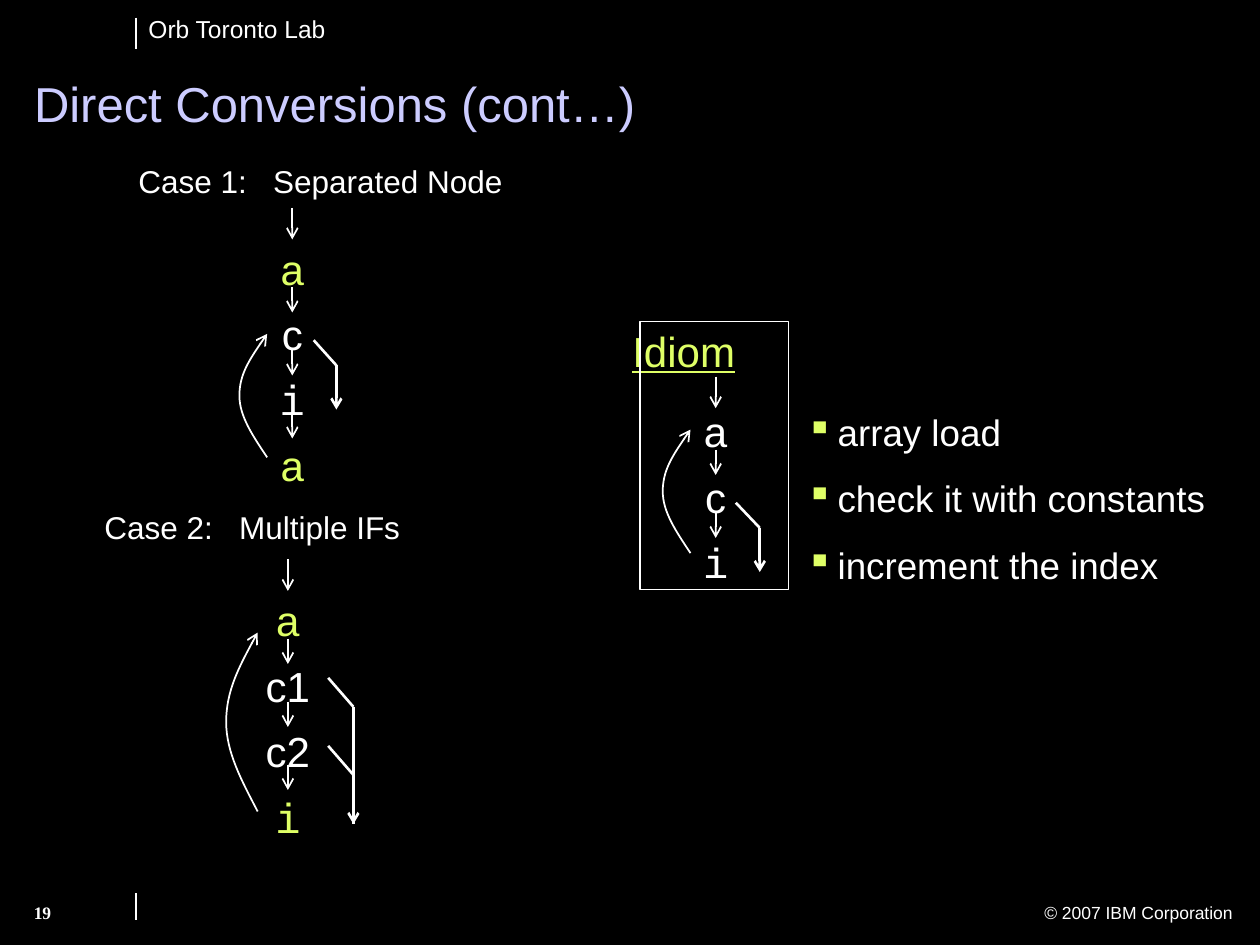
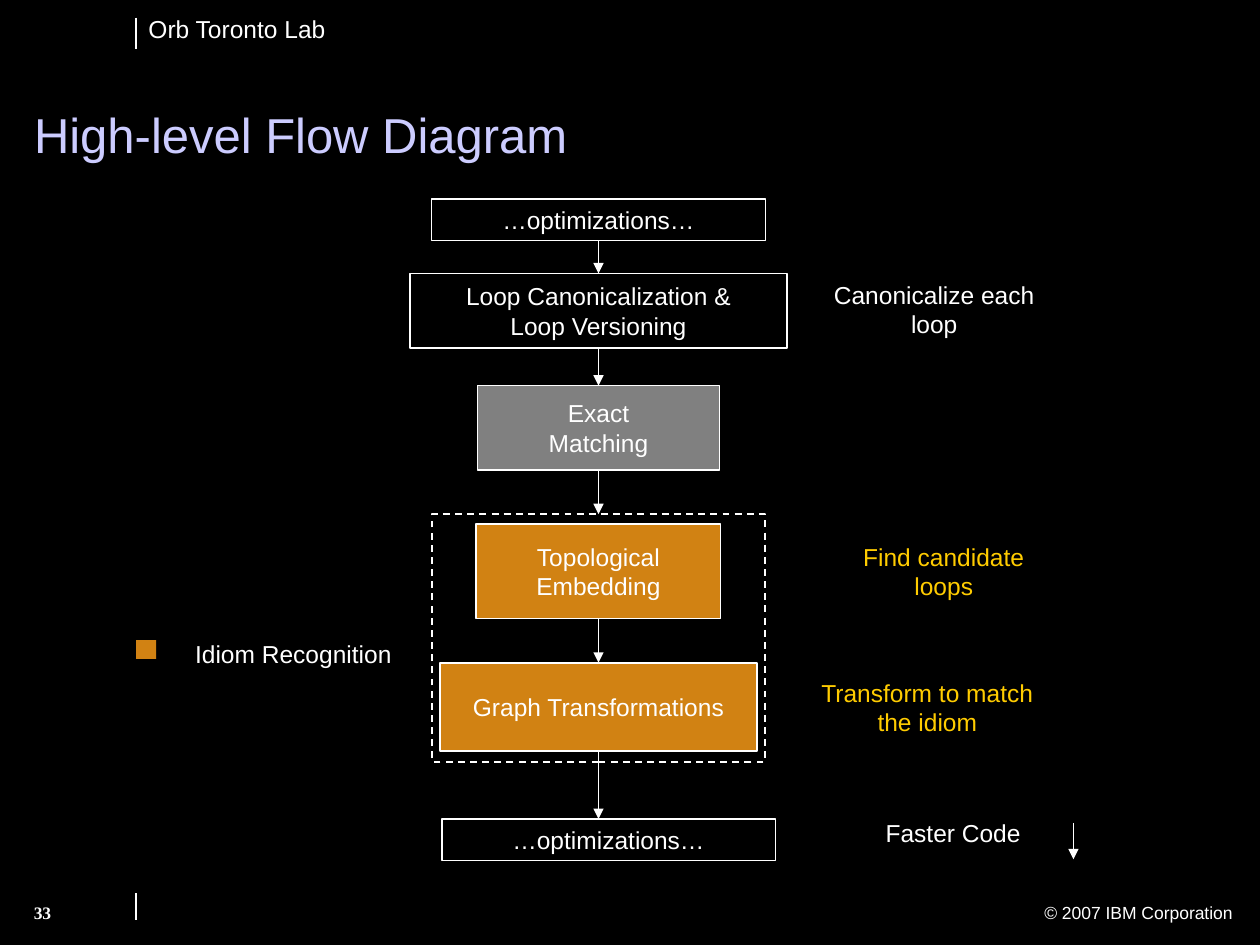
from dataclasses import dataclass
from typing import NamedTuple

from lxml.etree import SubElement
from pptx import Presentation
from pptx.dml.color import RGBColor
from pptx.enum.dml import MSO_LINE
from pptx.enum.shapes import MSO_CONNECTOR, MSO_SHAPE
from pptx.enum.text import MSO_ANCHOR, MSO_AUTO_SIZE, PP_ALIGN
from pptx.oxml.ns import qn
from pptx.util import Inches, Pt


@dataclass(frozen=True)
class Theme:
    background: str = "000000"
    ink: str = "FFFFFF"
    title: str = "CCCCFF"
    lime: str = "DFFF66"
    gold: str = "FFCC00"
    orange: str = "D18213"
    grey: str = "808080"
    sans: str = "Arial"
    mono: str = "Courier New"
    serif: str = "Times New Roman"
    title_size: float = 28
    node_size: float = 24
    bullet_size: float = 21
    case_size: float = 18
    label_size: float = 14
    footer_size: float = 10
    hairline: float = 0.75
    thin: float = 1
    thick: float = 1.5


THEME = Theme()


class Box(NamedTuple):
    """An area on the slide grid: 10 columns by 7.5 rows, one inch each."""
    left: float
    top: float
    width: float
    height: float

    def inner(self, column, row, width, height):
        return Box(self.left + column, self.top + row, width, height)

    def point(self, column, row):
        return self.left + column, self.top + row

    def emu(self):
        return [Inches(length) for length in self]


SLIDE = Box(0, 0, 10, 7.5)


# Basic parts
def style_line(line, width, head=None, dash=None):
    line.color.rgb = RGBColor.from_string(THEME.ink)
    line.width = Pt(width)
    if dash:
        line.dash_style = dash
    if head:
        SubElement(line._get_or_add_ln(), qn("a:tailEnd"), type=head)


def style_font(paragraph, size, color=THEME.ink, face=THEME.sans):
    font = paragraph.font
    font.size, font.name = Pt(size), face
    font.color.rgb = RGBColor.from_string(color)


def write(frame, text, size, color=THEME.ink, align=PP_ALIGN.LEFT,
          anchor=MSO_ANCHOR.TOP, face=THEME.sans):
    """Fill a text frame, one paragraph per line of text."""
    frame.word_wrap = True
    frame.vertical_anchor = anchor
    frame.text = text
    for paragraph in frame.paragraphs:
        paragraph.alignment = align
        style_font(paragraph, size, color, face)
    return frame


def add_text(page, box, text, size, **options):
    frame = page.shapes.add_textbox(*box.emu()).text_frame
    return write(frame, text, size, **options)


def add_line(page, start, end, width=THEME.thin, head=None):
    ends = [Inches(length) for length in (*start, *end)]
    connector = page.shapes.add_connector(MSO_CONNECTOR.STRAIGHT, *ends)
    style_line(connector.line, width, head)
    SubElement(connector.element.spPr, qn("a:effectLst"))


def add_rectangle(page, box, fill=None, width=THEME.thin, dash=None):
    shape = page.shapes.add_shape(MSO_SHAPE.RECTANGLE, *box.emu())
    shape.shadow.inherit = False
    if fill:
        shape.fill.solid()
        shape.fill.fore_color.rgb = RGBColor.from_string(fill)
    else:
        shape.fill.background()
    if width:
        style_line(shape.line, width, dash=dash)
    else:
        shape.line.fill.background()
    return shape


def add_back_arc(page, box):
    """Draw a curve from the bottom right, bulging left, to the top right."""
    right, middle, left = 1, 0.5, 0
    knots = [(right, 1), (middle, 0.83), (left, 0.67), (left, 0.5),
             (left, 0.33), (middle, 0.16), (right, 0)]
    points = [tuple(Inches(length) for length in
                    box.point(across * box.width, down * box.height))
              for across, down in knots]
    builder = page.shapes.build_freeform(*points[0], scale=1.0)
    builder.add_line_segments(points[1:], close=False)
    shape = builder.convert_to_shape()
    # Each three straight steps become one cubic curve
    steps = list(shape.element.iter(qn("a:lnTo")))
    for first in range(0, len(steps), 3):
        curve = SubElement(steps[first].getparent(), qn("a:cubicBezTo"))
        for step in steps[first:first + 3]:
            curve.append(step[0])
            step.getparent().remove(step)
    shape.shadow.inherit = False
    shape.fill.background()
    style_line(shape.line, THEME.thin, "arrow")


# Frame shared by all slides
def add_page(deck, title, title_box, number):
    page = deck.slides.add_slide(deck.slide_layouts[5])
    add_text(page, SLIDE.inner(1.08, 0.06, 3, 0.33), "Orb Toronto Lab", THEME.label_size)
    add_text(page, SLIDE.inner(6.26, 7.11, 3.62, 0.27), "© 2007 IBM Corporation",
             THEME.footer_size, align=PP_ALIGN.RIGHT)
    for top, bottom in ((0.14, 0.39), (7.09, 7.3)):
        add_line(page, (1.08, top), (1.08, bottom))
    number_frame = add_text(page, SLIDE.inner(0.17, 7.11, 1.1, 0.35), number,
                            THEME.footer_size, face=THEME.serif)
    number_frame.paragraphs[0].font.bold = True

    heading = page.shapes.title
    heading.left, heading.top, heading.width, heading.height = title_box.emu()
    frame = write(heading.text_frame, title, THEME.title_size, THEME.title,
                  anchor=MSO_ANCHOR.BOTTOM)
    frame.auto_size = MSO_AUTO_SIZE.NONE
    frame.paragraphs[0].line_spacing = 0.9
    return page


# Loop graphs of the conversions slide
@dataclass(frozen=True)
class LoopGraph:
    nodes: str
    marked: tuple        # positions of the lime nodes
    arc: Box             # relative to the top centre of the graph
    exits: tuple         # rows where the exit branches turn down
    exit_column: float
    exit_end: float
    branch: tuple        # width and height of the slanted part
    entry: float = -0.11


def add_loop_graph(page, box, graph):
    axis = box.width / 2
    frame = add_text(page, box, graph.nodes.replace(" ", "\n"), THEME.node_size,
                     align=PP_ALIGN.CENTER)
    for index, paragraph in enumerate(frame.paragraphs):
        paragraph.line_spacing = 1.3
        style_font(paragraph, THEME.node_size,
                   THEME.lime if index in graph.marked else THEME.ink,
                   THEME.mono if paragraph.text == "i" else THEME.sans)

    # Entry arrow, then one arrow between each two nodes
    steps = [(graph.entry, 0.25)]
    steps += [(0.52 + 0.5 * index, 0.2) for index in range(len(frame.paragraphs) - 1)]
    for row, length in steps:
        add_line(page, box.point(axis, row), box.point(axis, row + length), head="arrow")
    arc = graph.arc
    add_back_arc(page, box.inner(axis + arc.left, arc.top, arc.width, arc.height))

    # Exit branches
    column = axis + graph.exit_column
    run, rise = graph.branch
    for row in graph.exits:
        corner = box.point(column, row)
        head = "arrow" if row == graph.exits[-1] else None
        add_line(page, corner, box.point(column, graph.exit_end), THEME.thick, head)
        add_line(page, corner, box.point(column - run, row - rise), THEME.thick)


def add_case_heading(page, box, case, name):
    frame = add_text(page, box, "", THEME.case_size)
    paragraph = frame.paragraphs[0]
    properties = paragraph._p.get_or_add_pPr()
    tabs = SubElement(properties, qn("a:tabLst"))
    SubElement(tabs, qn("a:tab"), pos=str(Inches(1.07)), algn="l")
    properties.insert(0, tabs)
    paragraph.line_spacing = 0.9
    paragraph.text = f"{case}\t{name}"


def add_bullets(page, box, items):
    frame = page.shapes.add_textbox(*box.emu()).text_frame
    frame.word_wrap = True
    for index, item in enumerate(items):
        paragraph = frame.add_paragraph() if index else frame.paragraphs[0]
        properties = paragraph._p.get_or_add_pPr()
        properties.set("marL", str(Inches(0.25)))
        properties.set("indent", str(-Inches(0.25)))
        color = SubElement(properties, qn("a:buClr"))
        SubElement(color, qn("a:srgbClr"), val=THEME.lime)
        SubElement(properties, qn("a:buChar"), char="▪")
        paragraph.text = item
        paragraph.line_spacing = 1.5
        style_font(paragraph, THEME.bullet_size)


def add_idiom(page, box):
    frame = add_text(page, box.inner(-0.16, 0.03, 1.51, 0.46), "Idiom",
                     THEME.node_size, color=THEME.lime)
    frame.paragraphs[0].line_spacing = 0.9
    frame.paragraphs[0].font.underline = True
    add_rectangle(page, box, width=THEME.hairline)
    add_loop_graph(page, box.inner(0.15, 0.5, 0.9, 1.66), LoopGraph(
        "a c i", (), Box(-0.42, 0.36, 0.22, 0.98), (1.14,), 0.35, 1.49,
        (0.19, 0.2), entry=-0.06))
    add_bullets(page, box.inner(1.22, 0.48, 3.43, 1.68),
                ("array load", "check it with constants", "increment the index"))


def build_conversions(deck):
    page = add_page(deck, "Direct Conversions (cont…)", Box(0.17, 0.56, 9.6, 0.55), "19")
    add_idiom(page, Box(5.08, 2.55, 1.18, 2.13))
    add_case_heading(page, Box(1, 1.27, 3.5, 0.37), "Case 1:", "Separated Node")
    add_loop_graph(page, Box(1.87, 1.76, 0.9, 2.18), LoopGraph(
        "a c i a", (0, 3), Box(-0.42, 0.89, 0.22, 0.98), (1.14,), 0.35, 1.49,
        (0.18, 0.2)))
    add_case_heading(page, Box(0.73, 4.02, 3.5, 0.37), "Case 2:", "Multiple IFs")
    add_loop_graph(page, Box(1.76, 4.55, 1.05, 2.18), LoopGraph(
        "a c1 c2 i", (0, 3), Box(-0.49, 0.47, 0.25, 1.42), (1.06, 1.6), 0.52, 1.99,
        (0.2, 0.23)))


# Flow of the optimizer stages
def add_flow(page, box):
    axis = box.width / 2
    # Label, shift from the axis, top, width, height, fill
    stages = (
        ("…optimizations…", 0, 0, 2.65, 0.33, None),
        ("Loop Canonicalization &\nLoop Versioning", 0, 0.59, 2.99, 0.59, None),
        ("Exact\nMatching", 0, 1.48, 1.92, 0.67, THEME.grey),
        ("Topological\nEmbedding", 0, 2.58, 1.94, 0.75, THEME.orange),
        ("Graph Transformations", 0, 3.68, 2.52, 0.7, THEME.orange),
        ("…optimizations…", 0.08, 4.92, 2.65, 0.33, None),
    )
    group_top = 2.5
    add_rectangle(page, box.inner(axis - 1.32, group_top, 2.64, 1.97), dash=MSO_LINE.DASH)
    for label, shift, top, width, height, fill in stages:
        area = box.inner(axis + shift - width / 2, top, width, height)
        shape = add_rectangle(page, area, fill)
        write(shape.text_frame, label, THEME.label_size, align=PP_ALIGN.CENTER,
              anchor=MSO_ANCHOR.MIDDLE)
    for upper, lower in zip(stages, stages[1:]):
        end = group_top if lower[0].startswith("Topological") else lower[2]
        add_line(page, box.point(axis, upper[2] + upper[4]), box.point(axis, end),
                 THEME.hairline, "triangle")


def add_flow_notes(page, box):
    notes = (
        ("Canonicalize each loop", 0, 0, 1.83, THEME.ink),
        ("Find candidate loops", 0, 2.08, 1.98, THEME.gold),
        ("Transform to match the idiom", -0.08, 3.16, 1.88, THEME.gold),
        ("Faster Code", 0.18, 4.27, 1.77, THEME.ink),
    )
    for text, column, row, width, color in notes:
        add_text(page, box.inner(column, row, width, 0.57), text, THEME.label_size,
                 color=color, align=PP_ALIGN.CENTER)
    add_line(page, box.point(2.02, 4.36), box.point(2.02, 4.65), THEME.hairline, "triangle")


def add_legend(page, box):
    add_rectangle(page, box.inner(0, 0, 0.16, 0.15), THEME.orange, width=None)
    add_text(page, box.inner(0.37, -0.06, 1.9, 0.34), "Idiom Recognition", THEME.label_size)


def build_flow(deck):
    page = add_page(deck, "High-level Flow Diagram", Box(0.17, 0.8, 9.02, 0.55), "33")
    add_legend(page, Box(1.08, 5.08, 2.2, 0.3))
    add_flow(page, Box(3.25, 1.58, 3, 5.25))
    add_flow_notes(page, Box(6.5, 2.17, 2.1, 4.7))


def main():
    deck = Presentation()
    deck.slide_width, deck.slide_height = Inches(SLIDE.width), Inches(SLIDE.height)
    backdrop = deck.slide_master.background.fill
    backdrop.solid()
    backdrop.fore_color.rgb = RGBColor.from_string(THEME.background)
    build_conversions(deck)
    build_flow(deck)
    deck.save("out.pptx")


if __name__ == "__main__":
    main()
